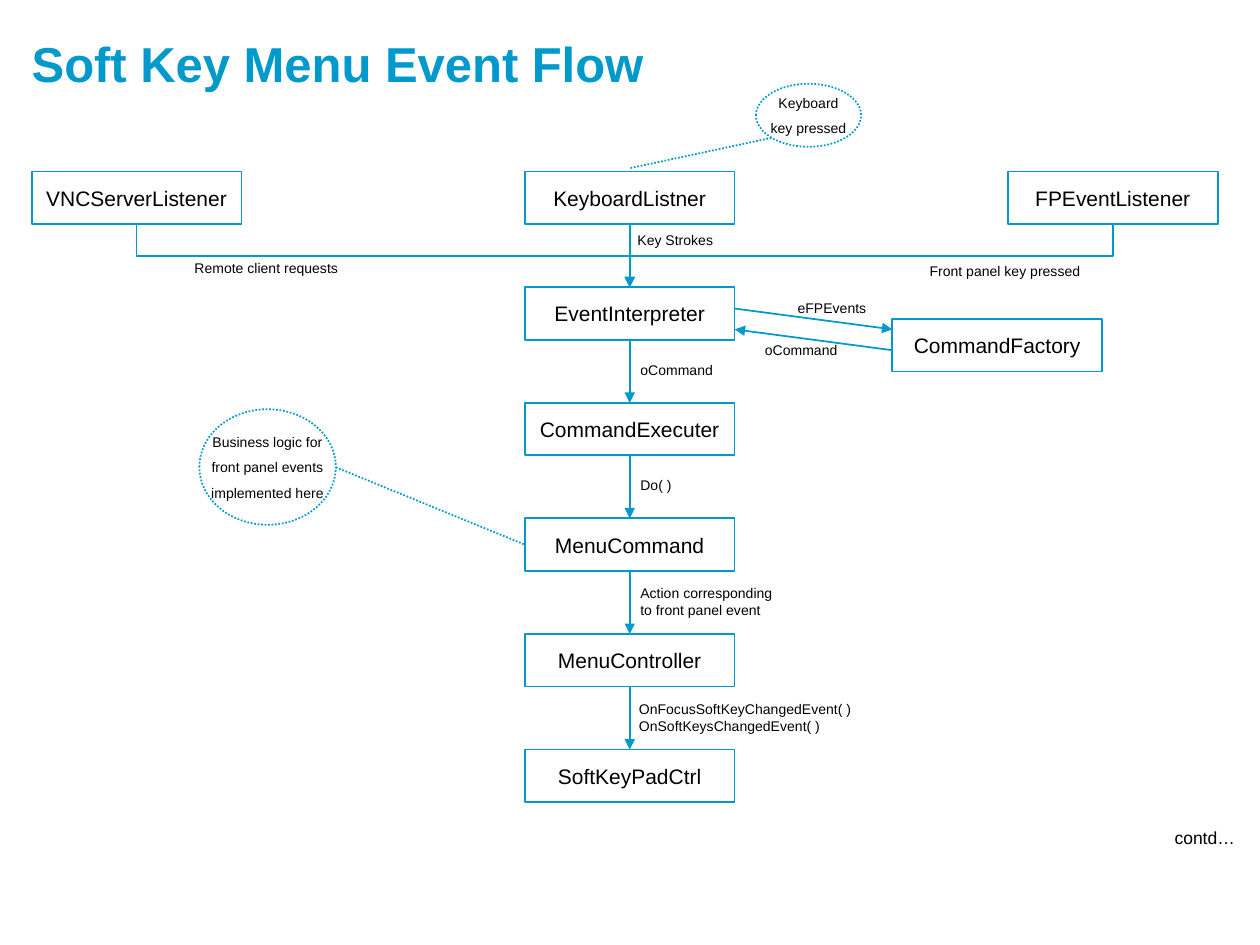
import lxml.etree
import pptx
import pptx.dml.color
import pptx.enum.dml
import pptx.enum.shapes
import pptx.enum.text
import pptx.oxml.ns
import pptx.util

Cm = pptx.util.Cm
Pt = pptx.util.Pt
qn = pptx.oxml.ns.qn
Kind = pptx.enum.shapes.MSO_CONNECTOR
Form = pptx.enum.shapes.MSO_SHAPE
Align = pptx.enum.text.PP_ALIGN
Anchor = pptx.enum.text.MSO_ANCHOR


def paint(text):
    return pptx.dml.color.RGBColor.from_string(text)


class Chart:
    """Hold the style and slide of the event flow and draw its elements."""

    font, blue, black = "Arial", "0099CC", "000000"
    wide, high = 4.23, 1.06

    def __init__(self, slide):
        self.slide = slide

    def words(self, shape, lines, size, color=black, bold=False, align=Align.LEFT,
              anchor=Anchor.TOP, wrap=True):
        frame = shape.text_frame
        frame.margin_left = frame.margin_right = 0
        frame.margin_top = frame.margin_bottom = 0
        frame.word_wrap = wrap
        frame.vertical_anchor = anchor
        for i, line in enumerate(lines):
            para = frame.add_paragraph() if i else frame.paragraphs[0]
            para.alignment = align
            if i:
                para.space_before = Pt(5)
            run = para.add_run()
            run.text = line
            run.font.name = self.font
            run.font.size = Pt(size)
            run.font.bold = bold
            run.font.color.rgb = paint(color)

    def stroke(self, item, dots=False):
        item.line.color.rgb = paint(self.blue)
        item.line.width = Pt(1)
        if dots:
            item.line.dash_style = pptx.enum.dml.MSO_LINE.ROUND_DOT

    def label(self, text, x, y, w, h=0.33, size=8, **style):
        box = self.slide.shapes.add_textbox(Cm(x), Cm(y), Cm(w), Cm(h))
        self.words(box, [text], size, **style)

    def shape(self, form, lines, x, y, w, h, size, dots=False):
        item = self.slide.shapes.add_shape(form, Cm(x), Cm(y), Cm(w), Cm(h))
        item.shadow.inherit = False
        item.fill.background()
        self.stroke(item, dots)
        self.words(item, lines, size, align=Align.CENTER, anchor=Anchor.MIDDLE, wrap=False)
        return item

    def box(self, text, x, y):
        return self.shape(Form.RECTANGLE, [text], x, y, self.wide, self.high, 12)

    def cloud(self, lines, x, y, w, h):
        return self.shape(Form.OVAL, lines, x, y, w, h, 8, dots=True)

    def line(self, x1=0, y1=0, x2=0, y2=0, kind=Kind.STRAIGHT, dots=False):
        item = self.slide.shapes.add_connector(kind, Cm(x1), Cm(y1), Cm(x2), Cm(y2))
        self.stroke(item, dots)
        props = item._element.spPr
        if not dots:
            lxml.etree.SubElement(props.find(qn("a:ln")), qn("a:tailEnd"), type="triangle")
        lxml.etree.SubElement(props, qn("a:effectLst"))
        return item

    def link(self, top, low, kind=Kind.STRAIGHT):
        item = self.line(kind=kind)
        item.begin_connect(top, 2)
        item.end_connect(low, 0)
        return item

    def elbow(self, top, low):
        item = self.link(top, low, Kind.ELBOW)
        right = item.end_x > item.begin_x
        x, y, w, h = item.left, item.top, item.width, item.height
        item.left, item.top = x + (w - h) // 2, y + (h - w) // 2
        item.width, item.height = h, w
        xfrm = item._element.spPr.find(qn("a:xfrm"))
        xfrm.set("rot", str((270 if right else 90) * 60000))
        xfrm.set("flipH", "1" if right else "0")


def main():
    deck = pptx.Presentation()
    deck.slide_width, deck.slide_height = Cm(25.4), Cm(19.05)
    flow = Chart(deck.slides.add_slide(deck.slide_layouts[6]))

    flow.label("Soft Key Menu Event Flow", 0.64, 0.64, 24.15, 1.27, 28,
               color=flow.blue, bold=True, anchor=Anchor.MIDDLE)

    mid, top, step = 10.58, 3.46, 2.33
    names = ["KeyboardListner", "EventInterpreter", "CommandExecuter",
             "MenuCommand", "MenuController", "SoftKeyPadCtrl"]
    chain = [flow.box(name, mid, top + i * step) for i, name in enumerate(names)]
    for one, two in zip(chain, chain[1:]):
        flow.link(one, two)
    for name, x in [("VNCServerListener", 0.64), ("FPEventListener", 20.32)]:
        flow.elbow(flow.box(name, x, top), chain[1])

    flow.box("CommandFactory", 17.99, 6.43)
    edge = mid + flow.wide
    flow.line(edge, 6.22, 17.99, 6.64)
    flow.line(17.99, 7.06, edge, 6.64)

    flow.cloud(["Keyboard", "key pressed"], 15.24, 1.69, 2.12, 1.27)
    flow.line(15.55, 2.78, 12.7, 3.39, dots=True)
    flow.cloud(["Business logic for", "front panel events", "implemented here"],
               4.02, 8.25, 2.75, 2.33)
    flow.line(6.77, 9.42, mid, 10.98, dots=True).end_connect(chain[3], 1)

    for text, x, y, w in [
        ("Key Strokes", 12.85, 4.66, 1.8),
        ("Remote client requests", 3.92, 5.23, 3.2),
        ("Front panel key pressed", 18.74, 5.29, 3.2),
        ("eFPEvents", 16.08, 6.04, 1.5),
        ("oCommand", 15.42, 6.89, 1.5),
        ("oCommand", 12.91, 7.29, 1.5),
        ("Do( )", 12.91, 9.61, 1.5),
        ("Action corresponding to front panel event", 12.91, 11.79, 2.75),
        ("OnFocusSoftKeyChangedEvent( ) OnSoftKeysChangedEvent( )", 12.88, 14.12, 4.47),
    ]:
        flow.label(text, x, y, w, 0.68 if len(text) > 30 else 0.33)
    flow.label("contd…", 23.68, 16.67, 1.48, 0.43, 10)

    deck.save("out.pptx")


if __name__ == "__main__":
    main()
